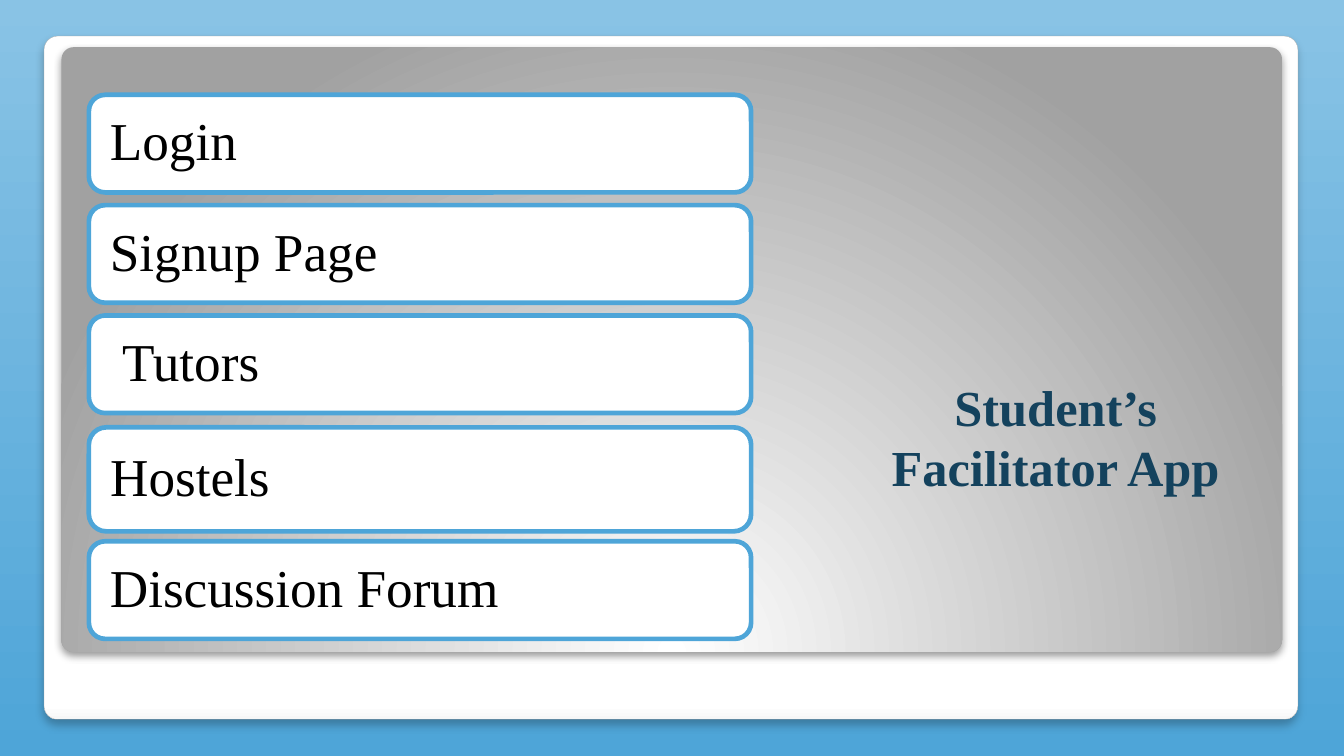
from dataclasses import dataclass

from lxml.etree import SubElement
from pptx import Presentation
from pptx.dml.color import RGBColor as Rgb
from pptx.enum.shapes import MSO_SHAPE as Shape
from pptx.enum.text import MSO_ANCHOR as Anchor, PP_ALIGN as Align
from pptx.oxml.ns import qn
from pptx.util import Cm, Pt


@dataclass(frozen=True)
class Theme:
    font: str = "Times New Roman"
    item_size: float = 38
    title_size: float = 36
    sky_top: str = "89C3E5"
    accent: str = "4EA5D8"
    white: str = "FFFFFF"
    off_white: str = "F7F7F7"
    gray: str = "A1A1A1"
    frame_line: str = "A4A4A3"
    title: str = "14425D"
    black: str = "000000"


class SlideBuilder:
    def __init__(self, deck, theme):
        self.theme = theme
        self.slide = deck.slides.add_slide(deck.slide_layouts[6])

    def gradient(self, fill, *stops):
        """Fill downwards through two (position, colour) stops."""
        fill.gradient()
        fill.gradient_angle = 270
        for stop, (position, color) in zip(fill.gradient_stops, stops):
            stop.position = position
            stop.color.rgb = Rgb.from_string(color)

    def background(self):
        self.gradient(self.slide.background.fill,
                      (0, self.theme.sky_top), (1, self.theme.accent))

    def rounded(self, left, top, width, height, line=None, weight=0):
        box = self.slide.shapes.add_shape(
            Shape.ROUNDED_RECTANGLE, Cm(left), Cm(top), Cm(width), Cm(height))
        box.shadow.inherit = False
        if line:
            box.line.color.rgb = Rgb.from_string(line)
            box.line.width = Pt(weight)
        else:
            box.line.fill.background()
        return box

    def panel(self, *place, stops, shadow, line=None, weight=0):
        """Add a gradient panel; shadow is (opacity %, blur pt, distance pt)."""
        box = self.rounded(*place, line=line, weight=weight)
        box.adjustments[0] = 0.02
        self.gradient(box.fill, *stops)
        opacity, blur, distance = shadow
        effects = box.element.spPr.find(qn("a:effectLst"))
        outer = SubElement(effects, qn("a:outerShdw"), blurRad=str(Pt(blur)),
                           dist=str(Pt(distance)), dir="5400000",
                           algn="t", rotWithShape="0")
        color = SubElement(outer, qn("a:srgbClr"), val=self.theme.black)
        SubElement(color, qn("a:alpha"), val=str(opacity * 1000))
        return box

    def make_radial(self, box):
        """Turn the gradient into circles centred below the box."""
        gradient = box.element.spPr.find(qn("a:gradFill"))
        gradient.remove(gradient.find(qn("a:lin")))
        circle = SubElement(gradient, qn("a:path"))
        circle.set("path", "circle")
        SubElement(circle, qn("a:fillToRect"),
                   l="50000", t="150000", r="50000", b="-50000")

    def add_text(self, box, text, size, color, align, anchor, bold=False):
        frame = box.text_frame
        frame.word_wrap = True
        frame.vertical_anchor = anchor
        para = frame.paragraphs[0]
        para.alignment = align
        span = para.add_run()
        span.text = text
        span.font.name = self.theme.font
        span.font.size = Pt(size)
        span.font.bold = bold
        span.font.color.rgb = Rgb.from_string(color)
        return para

    def item(self, text, top, height):
        box = self.rounded(2.24, top, 16.69, height, self.theme.accent, 3.35)
        box.fill.solid()
        box.fill.fore_color.rgb = Rgb.from_string(self.theme.white)
        frame = box.text_frame
        frame.margin_left = frame.margin_right = Cm(0.41)
        frame.margin_top = frame.margin_bottom = Cm(0.41)
        para = self.add_text(box, text, self.theme.item_size, self.theme.black,
                             Align.LEFT, Anchor.MIDDLE)
        para.line_spacing = 0.9

    def title(self, text, left, top, width, height):
        box = self.slide.shapes.add_textbox(
            Cm(left), Cm(top), Cm(width), Cm(height))
        self.add_text(box, text, self.theme.title_size, self.theme.title,
                      Align.CENTER, Anchor.BOTTOM, bold=True)


def main():
    deck = Presentation()
    deck.slide_width, deck.slide_height = Cm(33.87), Cm(19.05)
    theme = Theme()
    page = SlideBuilder(deck, theme)

    page.background()
    page.panel(1.11, 0.91, 31.6, 17.22,
               stops=((0.98, theme.white), (1, theme.off_white)),
               shadow=(25, 6, 4), line=theme.frame_line, weight=0.17)
    backdrop = page.panel(1.55, 1.19, 30.76, 15.24,
                          stops=((0, theme.white), (1, theme.gray)),
                          shadow=(40, 5.2, 3))
    page.make_radial(backdrop)

    page.title("Student’s Facilitator App", 21.74, 8.03, 9.73, 4.62)
    for text, top, height in (
        ("Login", 2.39, 2.46),
        ("Signup Page", 5.17, 2.46),
        (" Tutors", 7.95, 2.46),
        ("Hostels", 10.77, 2.62),
        ("Discussion Forum", 13.64, 2.46),
    ):
        page.item(text, top, height)

    deck.save("out.pptx")


if __name__ == "__main__":
    main()
